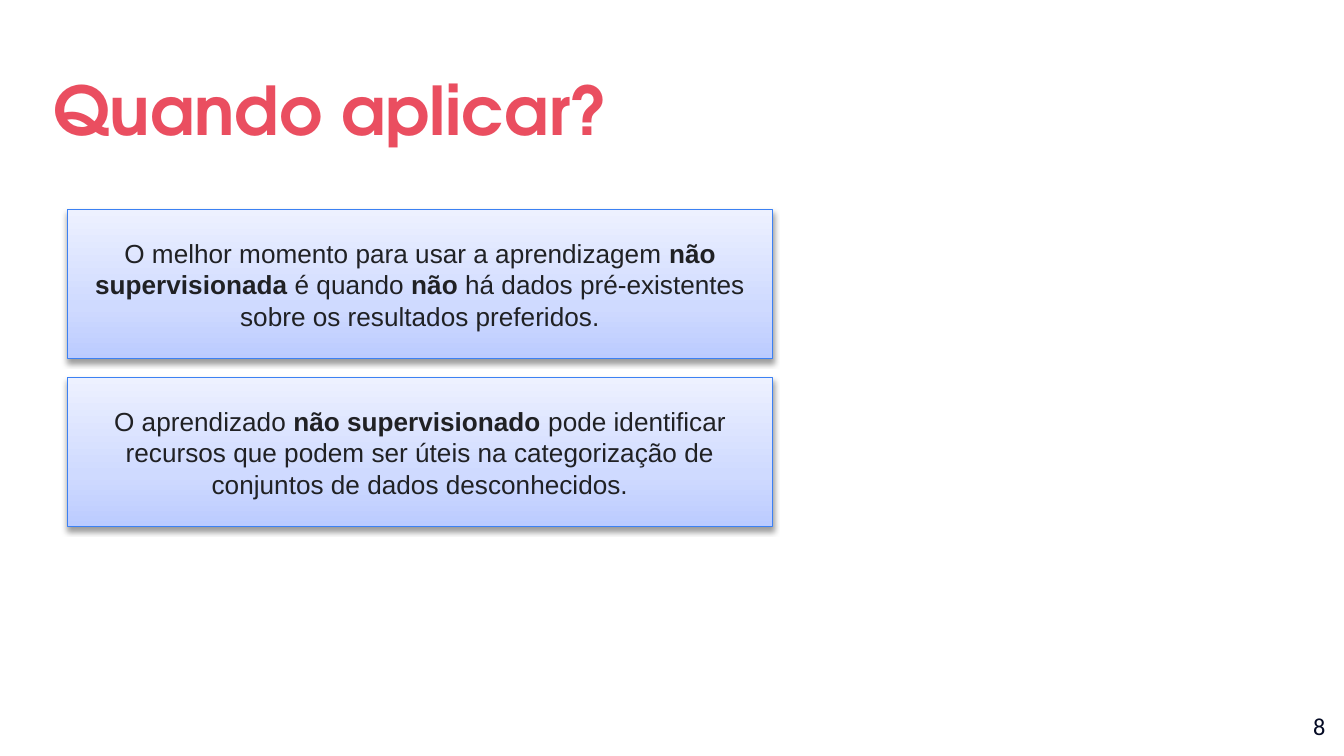
"""Builds the slide on when to apply unsupervised learning."""
from copy import deepcopy
from dataclasses import dataclass

from lxml import etree
from pptx import Presentation
from pptx import util as u
from pptx.dml.color import RGBColor
from pptx.enum import shapes, text
from pptx.oxml import ns


@dataclass(frozen=True)
class Theme:
    heading_font: str = "TeX Gyre Adventor"
    body_font: str = "Arial"
    number_font: str = "Calibri"
    heading_size: float = 36
    body_size: float = 14
    number_size: float = 13
    heading: str = "EA4E60"
    body: str = "202124"
    number: str = "040A24"
    border: str = "3C81F3"
    shadow: str = "000000"
    gradient: tuple = ((0, "BBCBFF"), (0.35, "CFDAFF"), (1, "EDF1FF"))


class SlideBuilder:
    def __init__(self, slide, theme):
        self.slide = slide
        self.theme = theme

    def style(self, paragraph, name, size, color):
        paragraph.font.name = name
        paragraph.font.size = u.Pt(size)
        paragraph.font.color.rgb = RGBColor.from_string(color)

    def label(self, box, words, name, size, color):
        frame = self.slide.shapes.add_textbox(*map(u.Inches, box)).text_frame
        frame.word_wrap = True
        frame.margin_left = frame.margin_right = u.Inches(0.1)
        frame.margin_top = frame.margin_bottom = u.Inches(0.1)
        paragraph = frame.paragraphs[0]
        paragraph.text = words
        self.style(paragraph, name, size, color)
        return paragraph

    def title(self, words):
        theme = self.theme
        heading = self.label((0.3, 0.32, 8.99, 1.8), words, theme.heading_font,
                             theme.heading_size, theme.heading)
        heading.font.bold = True
        heading.line_spacing = 1.15

    def page_number(self, number):
        theme = self.theme
        page = self.label((9.36, 5.19, 0.6, 0.43), str(number), theme.number_font,
                          theme.number_size, theme.number)
        page.alignment = text.PP_ALIGN.RIGHT

    def gradient(self, panel):
        panel.fill.gradient()
        panel.fill.gradient_angle = 90
        stops = panel._element.spPr.find(f"{ns.qn('a:gradFill')}/{ns.qn('a:gsLst')}")
        stops.append(deepcopy(stops[0]))
        for stop, (position, color) in zip(panel.fill.gradient_stops, self.theme.gradient):
            stop.position = position
            stop.color.rgb = RGBColor.from_string(color)

    def shadow(self, panel):
        panel.shadow.inherit = False
        effects = panel._element.spPr.find(ns.qn("a:effectLst"))
        outer = etree.SubElement(effects, ns.qn("a:outerShdw"), blurRad=str(u.Pt(3.1)),
                                 dist=str(u.Pt(1.6)), dir="5400000", rotWithShape="0")
        color = etree.SubElement(outer, ns.qn("a:srgbClr"), val=self.theme.shadow)
        etree.SubElement(color, ns.qn("a:alpha"), val="38000")

    def panel(self, top, statement):
        theme = self.theme
        panel = self.slide.shapes.add_shape(
            shapes.MSO_SHAPE.RECTANGLE, *map(u.Inches, (0.5, top, 5.25, 1.11)))
        self.gradient(panel)
        panel.line.color.rgb = RGBColor.from_string(theme.border)
        panel.line.width = u.Pt(0.75)
        self.shadow(panel)
        frame = panel.text_frame
        frame.word_wrap = True
        frame.vertical_anchor = text.MSO_ANCHOR.MIDDLE
        paragraph = frame.paragraphs[0]
        paragraph.alignment = text.PP_ALIGN.CENTER
        self.style(paragraph, theme.body_font, theme.body_size, theme.body)
        for index, words in enumerate(statement.split("**")):
            run = paragraph.add_run()
            run.text = words
            run.font.bold = index % 2 == 1


STATEMENTS = (
    "O melhor momento para usar a aprendizagem **não supervisionada** é quando "
    "**não** há dados pré-existentes sobre os resultados preferidos.",
    "O aprendizado **não supervisionado** pode identificar recursos que podem ser "
    "úteis na categorização de conjuntos de dados desconhecidos.",
)


def main():
    deck = Presentation()
    deck.slide_width = u.Inches(10)
    deck.slide_height = u.Inches(10 * 9 / 16)
    builder = SlideBuilder(deck.slides.add_slide(deck.slide_layouts[6]), Theme())
    builder.page_number(8)
    builder.title("Quando aplicar?")
    for row, statement in enumerate(STATEMENTS):
        builder.panel(1.56 + row * 1.25, statement)
    deck.save("out.pptx")


if __name__ == "__main__":
    main()
